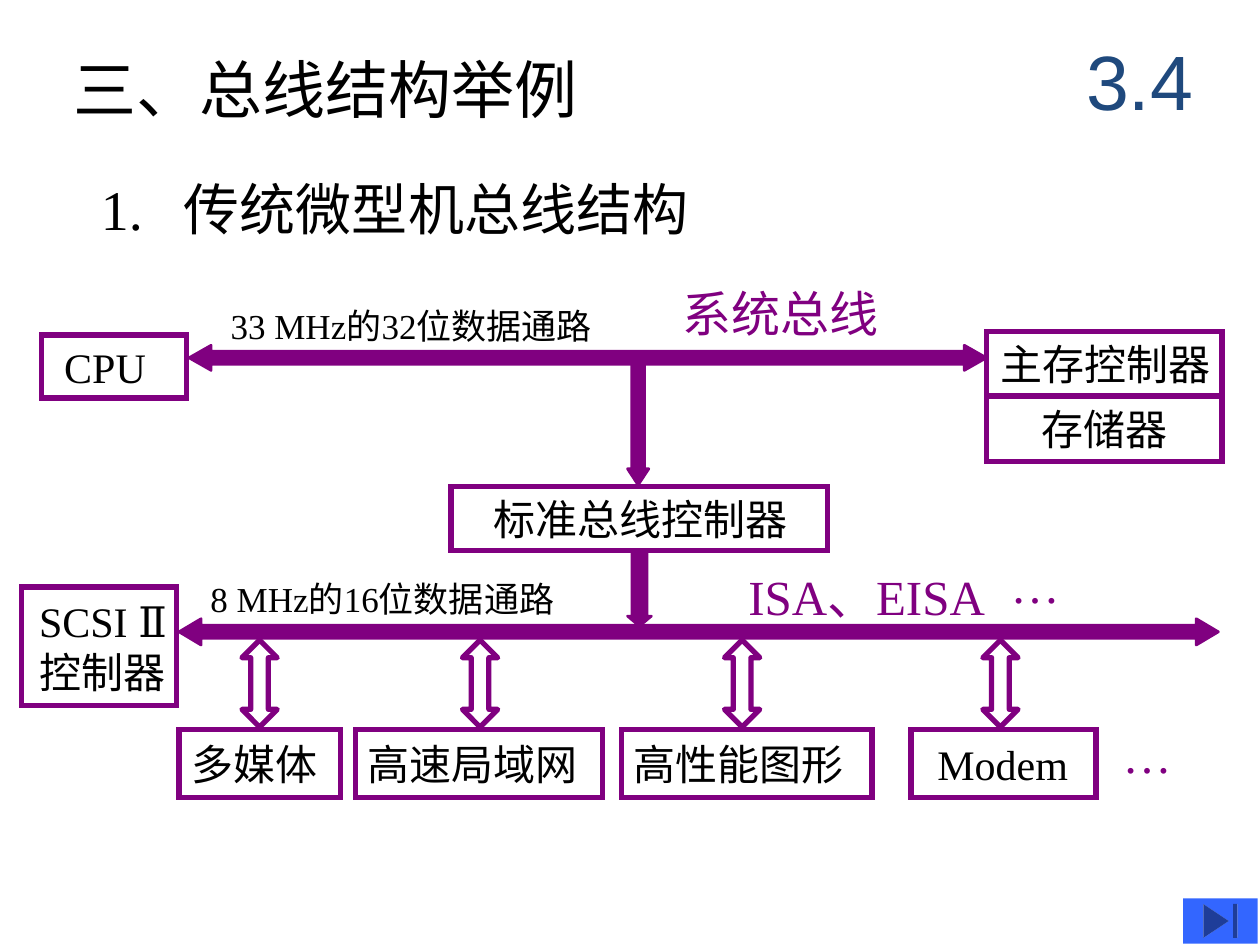
from lxml.etree import SubElement
from pptx import Presentation
from pptx.dml.color import RGBColor
from pptx.enum.shapes import MSO_SHAPE
from pptx.enum.text import MSO_ANCHOR, MSO_AUTO_SIZE, PP_ALIGN
from pptx.oxml.ns import qn
from pptx.util import Pt

PX = 9144  # one px is a hundredth of an inch
BLACK = RGBColor(0x00, 0x00, 0x00)
PURPLE = RGBColor(0x80, 0x00, 0x80)
NAVY = RGBColor(0x1F, 0x49, 0x7D)
BLUE = RGBColor(0x33, 0x66, 0xFF)
TIMES, CALIBRI, ARIAL = "Times New Roman", "Calibri", "Arial"

# Content: a text is a list of paragraphs, a paragraph a list of (words, font)
TITLE = [[("三、总线结构举例", TIMES)]]
HEADING = [[("1.\t传统微型机总线结构", TIMES)]]
HEADING_INDENT = 66
SECTION = [[("3.4", ARIAL)]]

# (text, area, left inset)
BOXES = [
    ([[("CPU", TIMES)]], (33, 266, 115, 50), 18),
    ([[("主存控制器", CALIBRI)]], (783, 263, 187, 52), 11),
    ([[("存储器", CALIBRI)]], (783, 314, 187, 52), 44),
    ([[("标准总线控制器", CALIBRI)]], (358, 386, 299, 51), 34),
    ([[("SCSI Ⅱ", TIMES)], [("控制器", CALIBRI)]], (17, 466, 123, 94), 14),
]

# (text, area, size, colour)
LABELS = [
    ([[("33 MHz的32", TIMES), ("位数据通路", CALIBRI)]],
     (183, 242, 320, 33), 20, BLACK),
    ([[("8 MHz的16", TIMES), ("位数据通路", CALIBRI)]],
     (167, 458, 310, 33), 20, BLACK),
    ([[("系统总线", CALIBRI)]], (542, 225, 165, 47), 28, PURPLE),
    ([[("ISA、EISA", TIMES)]], (594, 450, 216, 47), 28, PURPLE),
    ([[("…", TIMES)]], (802, 440, 49, 47), 28, PURPLE),
    ([[("…", TIMES)]], (891, 575, 49, 47), 28, PURPLE),
]

# (preset, area, shaft ratio, head ratio)
BUSES = [
    (MSO_SHAPE.LEFT_RIGHT_ARROW, (150, 274, 633, 20), 0.52, 0.88),
    (MSO_SHAPE.LEFT_RIGHT_ARROW, (142, 491, 825, 21), 0.5, 0.84),
    (MSO_SHAPE.DOWN_ARROW, (498, 285, 17, 100), 0.6, 0.76),
    (MSO_SHAPE.DOWN_ARROW, (498, 436, 19, 61), 0.63, 0.42),
]

# (name, left, width, left inset, arrow centre)
DEVICES = [
    ("多媒体", 142, 128, 10, 206),
    ("高速局域网", 282, 196, 10, 381),
    ("高性能图形", 493, 199, 10, 589),
    ("Modem", 723, 147, 21, 794),
]
DEVICE_TOP, DEVICE_HEIGHT = 579, 54
LINK_TOP, LINK_WIDTH, LINK_HEIGHT = 508, 28, 69


def scaled(area):
    return [round(value * PX) for value in area]


def write(shape, text, size, color=BLACK, inset=0, align=PP_ALIGN.LEFT,
          anchor=MSO_ANCHOR.MIDDLE, indent=0):
    frame = shape.text_frame
    frame.word_wrap = True
    frame.auto_size = MSO_AUTO_SIZE.NONE
    frame.vertical_anchor = anchor
    frame.margin_left = inset * PX
    frame.margin_top = frame.margin_right = frame.margin_bottom = 0
    for index, spans in enumerate(text):
        para = frame.add_paragraph() if index else frame.paragraphs[0]
        para.alignment = align
        para.space_before = Pt(0)
        properties = para._p.get_or_add_pPr()
        properties.set("marL", str(indent * PX))
        properties.set("indent", str(-indent * PX))
        SubElement(properties, qn("a:buNone"))
        for words, font in spans:
            span = para.add_run()
            span.text = words
            span.font.name = font
            span.font.size = Pt(size)
            span.font.color.rgb = color


def place(shape, area):
    shape.left, shape.top, shape.width, shape.height = scaled(area)


def draw(page, preset, area, fill=None, line=PURPLE, weight=3, join="a:round"):
    shape = page.shapes.add_shape(preset, *scaled(area))
    shape.shadow.inherit = False
    if fill is None:
        shape.fill.background()
    else:
        shape.fill.solid()
        shape.fill.fore_color.rgb = fill
    if line is None:
        shape.line.fill.background()
    else:
        shape.line.color.rgb = line
        shape.line.width = Pt(weight)
        SubElement(shape.line._get_or_add_ln(), qn(join))
    return shape


def draw_box(page, text, area, inset):
    box = draw(page, MSO_SHAPE.RECTANGLE, area, join="a:miter")
    write(box, text, 24, inset=inset)


def draw_arrow(page, preset, area, shaft, head, **style):
    arrow = draw(page, preset, area, **style)
    arrow.adjustments[0] = shaft
    arrow.adjustments[1] = head


def add_label(page, text, area, size, color, **style):
    write(page.shapes.add_textbox(*scaled(area)), text, size, color, **style)


def main():
    deck = Presentation()
    deck.slide_width, deck.slide_height = scaled((1000, 750))
    page = deck.slides.add_slide(deck.slide_layouts[1])

    # Title, heading and section number
    title, heading = page.shapes.title, page.placeholders[1]
    place(title, (58, 35, 450, 70))
    write(title, TITLE, 36)
    place(heading, (80, 133, 520, 64))
    write(heading, HEADING, 32, indent=HEADING_INDENT)
    add_label(page, SECTION, (842, 17, 125, 92), 44, NAVY,
              align=PP_ALIGN.CENTER)

    # Buses and the boxes on them
    for preset, area, shaft, head in BUSES:
        draw_arrow(page, preset, area, shaft, head, fill=PURPLE, weight=1.5)
    for text, area, inset in BOXES:
        draw_box(page, text, area, inset)
    for text, area, size, color in LABELS:
        add_label(page, text, area, size, color, anchor=MSO_ANCHOR.TOP)

    # Devices, each linked to the lower bus
    for name, left, width, inset, centre in DEVICES:
        draw_arrow(page, MSO_SHAPE.UP_DOWN_ARROW,
                   (centre - LINK_WIDTH / 2, LINK_TOP, LINK_WIDTH, LINK_HEIGHT),
                   0.5, 0.5)
        draw_box(page, [[(name, TIMES)]],
                 (left, DEVICE_TOP, width, DEVICE_HEIGHT), inset)

    # Navigation button
    draw(page, MSO_SHAPE.ACTION_BUTTON_END, (939, 713, 59, 36),
         fill=BLUE, line=None)
    deck.save("out.pptx")


if __name__ == "__main__":
    main()
